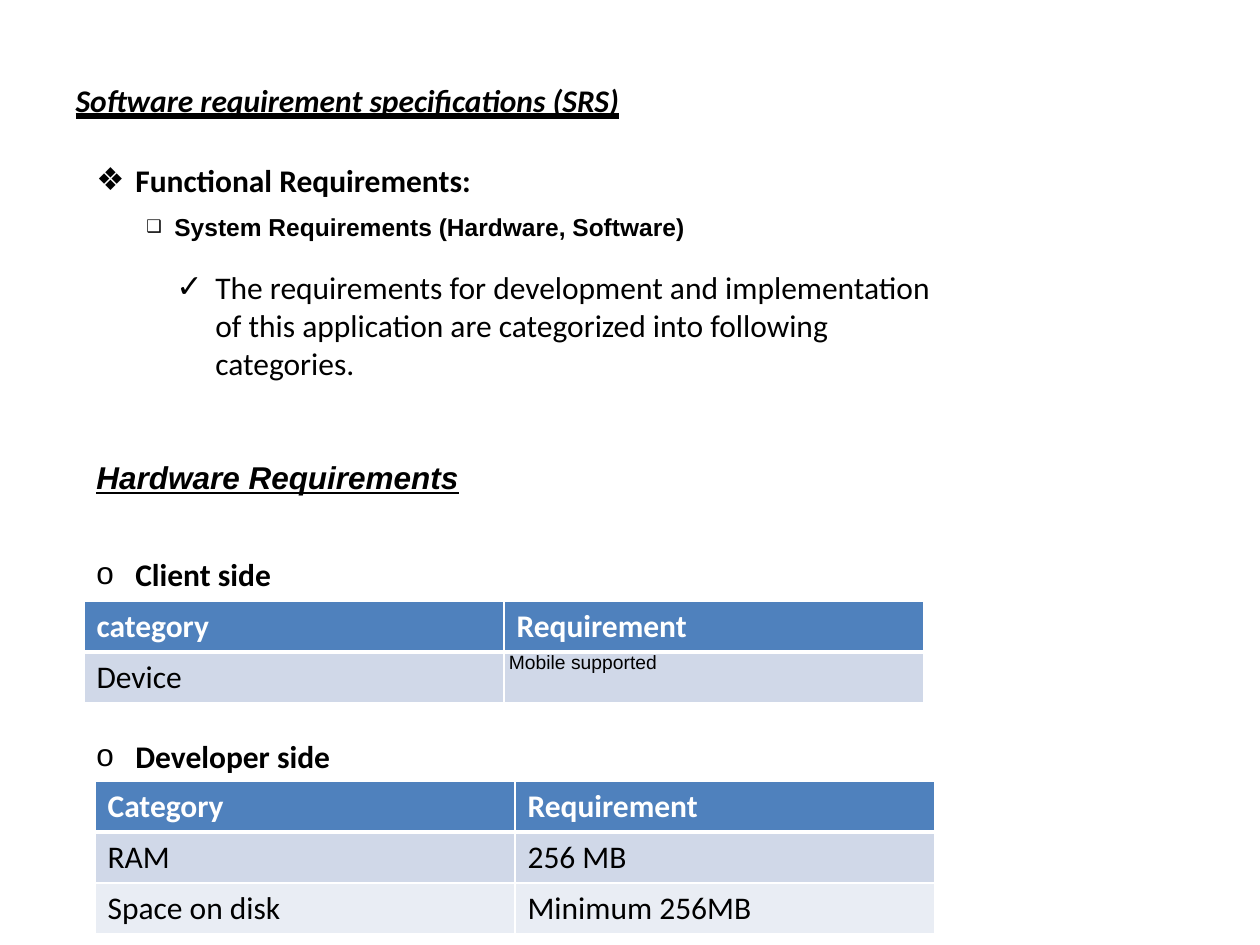
from lxml.etree import SubElement
from pptx import Presentation
from pptx.dml.color import RGBColor
from pptx.enum.text import MSO_ANCHOR, MSO_UNDERLINE, PP_ALIGN
from pptx.oxml.ns import qn
from pptx.util import Emu, Pt

BLACK = RGBColor(0x00, 0x00, 0x00)
WHITE = RGBColor(0xFF, 0xFF, 0xFF)
HEADER_BLUE = RGBColor(0x4F, 0x81, 0xBD)
BANDS = [RGBColor(0xD0, 0xD8, 0xE8), RGBColor(0xE9, 0xED, 0xF4)]
PX_PER_INCH = 126


def px(length):
    return Emu(round(length * 914400 / PX_PER_INCH))


class SlideBuilder:
    """Holds the text style and the slide being filled."""

    font_name = "Calibri"
    font_size = 18

    def __init__(self, slide):
        self.slide = slide

    def style(self, paragraph, color=BLACK, bold=False, italic=False,
              underline=None, name=None, size=None):
        font = paragraph.font
        font.name = name or self.font_name
        font.size = Pt(size or self.font_size)
        font.color.rgb = color
        font.bold, font.italic, font.underline = bold, italic, underline

    def title(self, text, left, top, width, height, bottom_inset):
        shape = self.slide.shapes.title
        shape.left, shape.top = px(left), px(top)
        shape.width, shape.height = px(width), px(height)
        frame = shape.text_frame
        frame.text = text
        frame.vertical_anchor = MSO_ANCHOR.MIDDLE
        frame.margin_bottom = px(bottom_inset)
        paragraph = frame.paragraphs[0]
        paragraph.alignment = PP_ALIGN.LEFT
        self.style(paragraph, bold=True, italic=True,
                   underline=MSO_UNDERLINE.HEAVY_LINE)

    def text(self, text, left, top, width, height, bullet=None, indent=39,
             bullet_percent=100, wrap=True, **style):
        box = self.slide.shapes.add_textbox(px(left), px(top), px(width), px(height))
        frame = box.text_frame
        frame.word_wrap = wrap
        frame.text = text
        paragraph = frame.paragraphs[0]
        if bullet:
            self.bullet(paragraph, bullet, indent, bullet_percent)
        self.style(paragraph, **style)

    def bullet(self, paragraph, character, indent, percent):
        properties = paragraph._p.get_or_add_pPr()
        properties.set("marL", str(px(indent)))
        properties.set("indent", str(-px(indent)))
        SubElement(properties, qn("a:buSzPct"), val=str(percent * 1000))
        SubElement(properties, qn("a:buFont"), typeface="Arial")
        SubElement(properties, qn("a:buChar"), char=character)

    def borders(self, cell, bottom_width):
        properties = cell._tc.get_or_add_tcPr()
        for side, width in (("L", 1), ("R", 1), ("T", 1), ("B", bottom_width)):
            line = SubElement(properties, qn(f"a:ln{side}"), w=str(Pt(width)))
            fill = SubElement(line, qn("a:solidFill"))
            SubElement(fill, qn("a:srgbClr"), val=str(WHITE))

    def table(self, rows, left, top, column_width=420, row_height=51):
        columns = len(rows[0])
        table = self.slide.shapes.add_table(
            len(rows), columns, px(left), px(top),
            px(column_width * columns), px(row_height * len(rows))).table
        for row_index, row in enumerate(rows):
            header = row_index == 0
            for column_index, text in enumerate(row):
                cell = table.cell(row_index, column_index)
                cell.text = text
                self.borders(cell, 3 if header else 1)
                cell.fill.solid()
                cell.fill.fore_color.rgb = (
                    HEADER_BLUE if header else BANDS[(row_index - 1) % 2])
                self.style(cell.text_frame.paragraphs[0],
                           color=WHITE if header else BLACK, bold=header)
        return table

    def compact(self, cell, left_inset):
        """Set a cell in small type close to its top left corner."""
        cell.margin_left = px(left_inset)
        cell.margin_top = cell.margin_right = cell.margin_bottom = 0
        self.style(cell.text_frame.paragraphs[0], name="Arial", size=11)


def main():
    presentation = Presentation()
    presentation.slide_width, presentation.slide_height = px(1260), px(945)
    slide = presentation.slides.add_slide(presentation.slide_layouts[5])
    builder = SlideBuilder(slide)

    builder.title("Software requirement specifications (SRS)",
                  63, 38, 1134, 158, bottom_inset=40)
    builder.text("Functional Requirements:", 84, 155, 727, 50,
                 bullet="❖", bold=True)
    builder.text("System Requirements (Hardware, Software)", 134, 206, 1042, 81,
                 bullet="❑", indent=28, bullet_percent=71,
                 bold=True, name="Arial", size=14)
    builder.text("The requirements for development and implementation of this "
                 "application are categorized into following categories.",
                 164, 262, 781, 165, bullet="✓")
    builder.text("Hardware Requirements", 84, 452, 669, 50,
                 bold=True, italic=True, underline=True, name="Arial")

    builder.text("Client side", 84, 549, 592, 50, bullet="o", bold=True)
    client_table = builder.table([["category", "Requirement"],
                                  ["Device", "Mobile supported"]], 84, 601)
    builder.compact(client_table.cell(1, 1), left_inset=5)

    builder.text("Developer side", 84, 731, 261, 50, bullet="o", bold=True,
                 wrap=False)
    builder.table([["Category", "Requirement"],
                   ["RAM", "256 MB"],
                   ["Space on disk", "Minimum 256MB"]], 95, 781)

    presentation.save("out.pptx")


if __name__ == "__main__":
    main()
